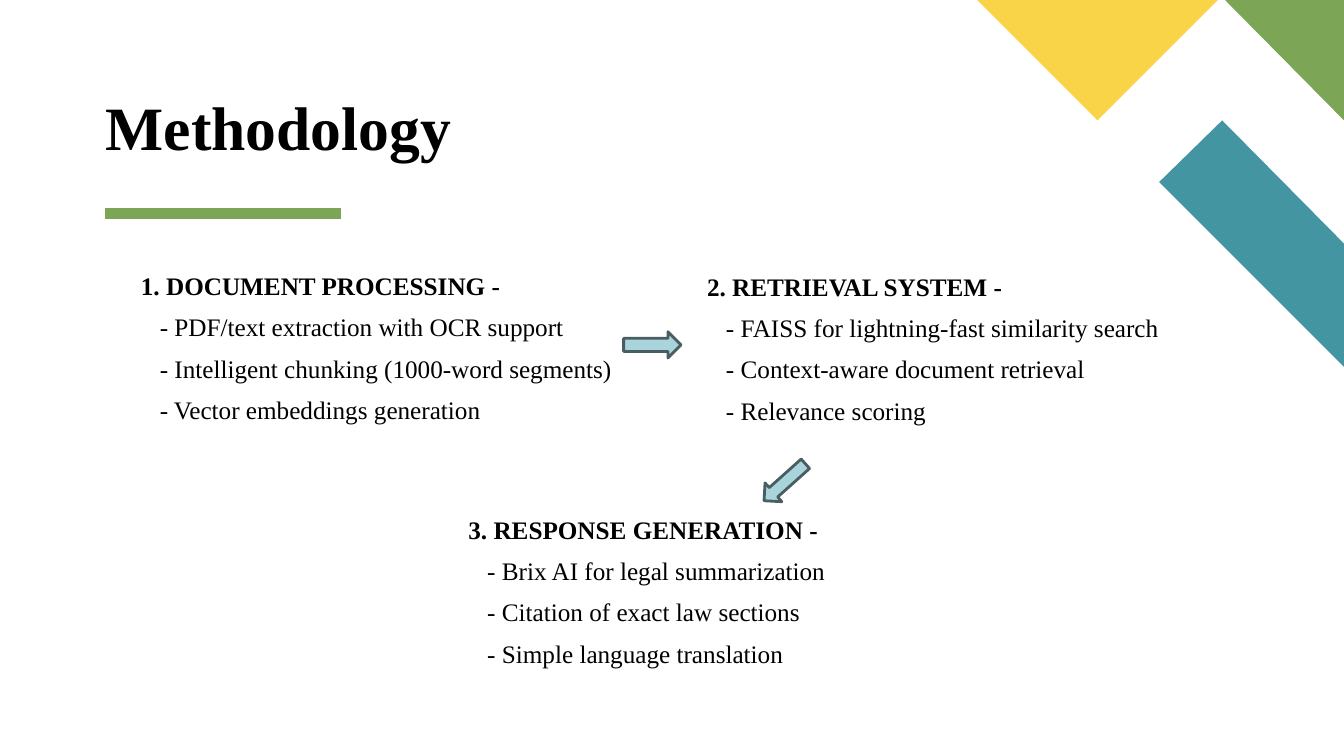
import pptx
import pptx.util
import pptx.dml.color
import pptx.enum.shapes
import pptx.enum.text
import pptx.oxml.ns
import lxml.etree

Pt = pptx.util.Pt
FONT = "Times New Roman"
INK = "000000"
SLIDE_W, SLIDE_H = 960, 540

TITLE = "Methodology"
TITLE_BOX = (75.6, 69.1, 795, 48.2)
UNDERLINE = {"left": 75, "right": 243.4, "y": 152.6, "color": "7CA655", "width": 8}

# (left, top, heading, points)
STAGES = [
    (75.6, 192, "1. DOCUMENT PROCESSING -",
     ["PDF/text extraction with OCR support",
      "Intelligent chunking (1000-word segments)",
      "Vector embeddings generation"]),
    (480, 192.7, "2. RETRIEVAL SYSTEM -",
     ["FAISS for lightning-fast similarity search",
      "Context-aware document retrieval",
      "Relevance scoring"]),
    (309.5, 366.2, "3. RESPONSE GENERATION -",
     ["Brix AI for legal summarization",
      "Citation of exact law sections",
      "Simple language translation"]),
]
STAGE_W, STAGE_H = 379.4, 145
HEADING_INDENT, POINT_INDENT = 18, 31.5

# (left, top, width, height, rotation)
ARROWS = [
    (445.5, 237, 41, 18.7, 0),
    (540.7, 335.5, 39.6, 18, 138.2),
]

CORNER_SHAPES = [
    ("4495A2", [(SLIDE_W, 262), (SLIDE_W, 173.5), (872.6, 85.7), (828, 129.6)]),
    ("7CA655", [(SLIDE_W, 85.7), (SLIDE_W, 0), (874.8, 0)]),
    ("F9D448", [(698.4, 0), (784.1, 85.7), (870.5, 0)]),
]


def rgb(hex_color):
    return pptx.dml.color.RGBColor.from_string(hex_color)


def paint(shape, fill, line=None, width=0):
    shape.shadow.inherit = False
    shape.fill.solid()
    shape.fill.fore_color.rgb = rgb(fill)
    if line:
        shape.line.color.rgb = rgb(line)
        shape.line.width = Pt(width)
    else:
        shape.line.fill.background()


def write(paragraph, text, size, bold):
    paragraph.line_spacing = 0.9
    run = paragraph.add_run()
    run.text = text
    run.font.name = FONT
    run.font.size = Pt(size)
    run.font.bold = bold
    run.font.color.rgb = rgb(INK)


def add_corner_shape(slide, color, points):
    builder = slide.shapes.build_freeform(*points[0], scale=Pt(1))
    builder.add_line_segments(points[1:], close=True)
    paint(builder.convert_to_shape(), color)


def add_underline(slide):
    y = Pt(UNDERLINE["y"])
    underline = slide.shapes.add_connector(
        pptx.enum.shapes.MSO_CONNECTOR.STRAIGHT,
        Pt(UNDERLINE["left"]), y, Pt(UNDERLINE["right"]), y)
    underline.line.color.rgb = rgb(UNDERLINE["color"])
    underline.line.width = Pt(UNDERLINE["width"])
    properties = underline._element.spPr
    lxml.etree.SubElement(properties, pptx.oxml.ns.qn("a:effectLst"))


def add_title(slide):
    title = slide.shapes.title
    title.left, title.top, title.width, title.height = map(Pt, TITLE_BOX)
    frame = title.text_frame
    frame.margin_left = frame.margin_top = frame.margin_right = frame.margin_bottom = 0
    frame.auto_size = pptx.enum.text.MSO_AUTO_SIZE.NONE
    frame.vertical_anchor = pptx.enum.text.MSO_ANCHOR.BOTTOM
    heading = frame.paragraphs[0]
    heading.alignment = pptx.enum.text.PP_ALIGN.LEFT
    write(heading, TITLE, 44, True)


def add_stage(slide, left, top, heading, points):
    box = slide.shapes.add_textbox(Pt(left), Pt(top), Pt(STAGE_W), Pt(STAGE_H))
    frame = box.text_frame
    frame.word_wrap = True
    lines = [heading] + [f"- {point}" for point in points]
    for index, line in enumerate(lines):
        is_heading = index == 0
        paragraph = frame.paragraphs[0] if is_heading else frame.add_paragraph()
        indent = HEADING_INDENT if is_heading else POINT_INDENT
        paragraph._p.get_or_add_pPr().set("marL", str(Pt(indent)))
        if not is_heading:
            paragraph.space_before = Pt(10)
        write(paragraph, line, 18, is_heading)


def add_arrow(slide, left, top, width, height, rotation):
    arrow = slide.shapes.add_shape(
        pptx.enum.shapes.MSO_SHAPE.RIGHT_ARROW,
        Pt(left), Pt(top), Pt(width), Pt(height))
    arrow.rotation = rotation
    paint(arrow, "A9D4DB", "4A5D60", 2)


def main():
    deck = pptx.Presentation()
    deck.slide_width, deck.slide_height = Pt(SLIDE_W), Pt(SLIDE_H)
    slide = deck.slides.add_slide(deck.slide_layouts[5])
    add_underline(slide)
    for color, points in CORNER_SHAPES:
        add_corner_shape(slide, color, points)
    add_title(slide)
    for stage in STAGES:
        add_stage(slide, *stage)
    for arrow in ARROWS:
        add_arrow(slide, *arrow)
    deck.save("out.pptx")


if __name__ == "__main__":
    main()
